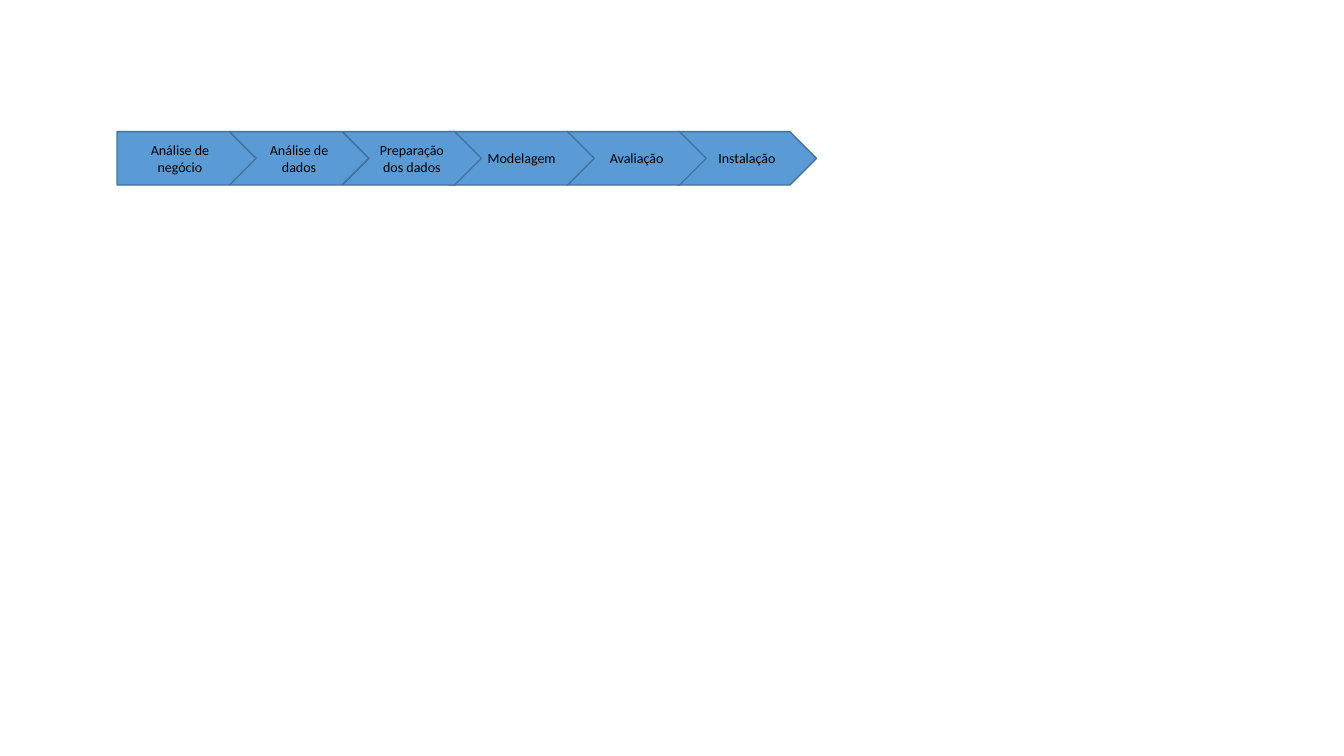
"""Build a slide with a six-step data mining process as a chain of arrows."""
from pptx import Presentation
from pptx.dml.color import RGBColor
from pptx.enum.shapes import MSO_SHAPE as Shape
from pptx.enum.text import MSO_ANCHOR as Anchor, PP_ALIGN as Align
from pptx.util import Pt

COLORS = {"fill": "5B9BD5", "line": "43739E", "text": "000000"}
STEP_TOP = 94
STEP_WIDTH = 99.4
STEP_HEIGHT = 38.2

presentation = Presentation()
presentation.slide_width = Pt(960)
presentation.slide_height = Pt(540)
slide = presentation.slides.add_slide(presentation.slide_layouts[6])

steps = [
    ("Análise de negócio", Shape.PENTAGON, 83.6, STEP_WIDTH, 10),
    ("Instalação", Shape.CHEVRON, 483.8, STEP_WIDTH, 7.2),
    ("Avaliação", Shape.CHEVRON, 405, STEP_WIDTH, 7.2),
    ("Modelagem", Shape.CHEVRON, 320.8, 103.7, 7.2),
    ("Preparação dos dados", Shape.CHEVRON, 244.5, STEP_WIDTH, 7.2),
    ("Análise de dados", Shape.CHEVRON, 163.9, STEP_WIDTH, 7.2),
]

for label, kind, left, width, margin in steps:
    shape = slide.shapes.add_shape(kind, Pt(left), Pt(STEP_TOP), Pt(width), Pt(STEP_HEIGHT))
    shape.shadow.inherit = False
    shape.fill.solid()
    shape.fill.fore_color.rgb = RGBColor.from_string(COLORS["fill"])
    shape.line.color.rgb = RGBColor.from_string(COLORS["line"])
    shape.line.width = Pt(1)

    frame = shape.text_frame
    frame.word_wrap = True
    frame.vertical_anchor = Anchor.MIDDLE
    frame.margin_left = frame.margin_right = Pt(margin)
    paragraph = frame.paragraphs[0]
    paragraph.alignment = Align.CENTER
    run = paragraph.add_run()
    run.text = label
    run.font.name = "Calibri"
    run.font.size = Pt(10)
    run.font.color.rgb = RGBColor.from_string(COLORS["text"])

presentation.save("out.pptx")
